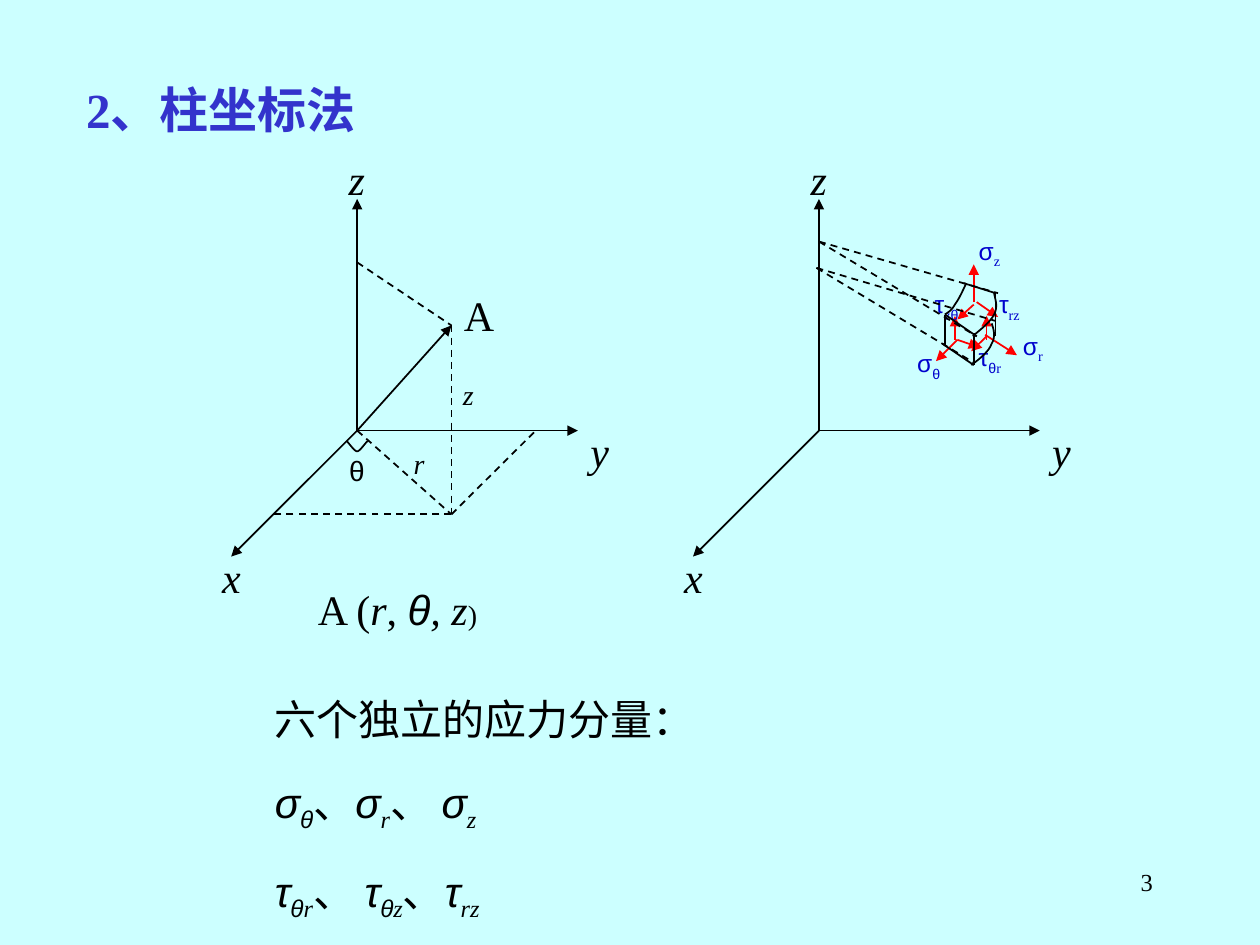
import dataclasses
import typing

import lxml.etree
import pptx
import pptx.dml.color
import pptx.enum.dml
import pptx.enum.shapes
import pptx.enum.text
import pptx.oxml.ns
import pptx.util

Cm = pptx.util.Cm
Pt = pptx.util.Pt
qn = pptx.oxml.ns.qn


@dataclasses.dataclass(frozen=True)
class Theme:
    background: str = "CCFFFF"
    title: str = "3333CC"
    ink: str = "000000"
    stress: str = "0000CC"
    force: str = "FF0000"
    serif: str = "Times New Roman"
    sans: str = "Arial"
    title_size: int = 28
    body_size: int = 24
    mark_size: int = 16
    stress_size: int = 14
    line_width: int = 1


THEME = Theme()


class Box(typing.NamedTuple):
    left: float
    top: float
    width: float
    height: float


class Run(typing.NamedTuple):
    text: str
    font: str = THEME.serif
    italic: bool = False
    sub: bool = False
    size: typing.Optional[int] = None


def greek(text, italic=False, sub=False):
    return Run(text, THEME.sans, italic, sub)


def rgb(value):
    return pptx.dml.color.RGBColor.from_string(value)


def write(paragraph, runs, size, color, before=0, bold=False, hanging=0):
    paragraph.space_before = Pt(before)
    if hanging:
        properties = paragraph._p.get_or_add_pPr()
        properties.set("marL", str(Cm(hanging)))
        properties.set("indent", str(-Cm(hanging)))
    for part in runs:
        run = paragraph.add_run()
        run.text = part.text
        run.font.name = part.font
        run.font.size = Pt(part.size or size)
        run.font.italic = part.italic
        run.font.bold = bold
        run.font.color.rgb = rgb(color)
        if part.sub:
            run._r.get_or_add_rPr().set("baseline", "-25000")


def add_text_frame(shapes, box, grow=True):
    frame = shapes.add_textbox(*map(Cm, box)).text_frame
    frame.word_wrap = True
    if grow:
        frame.auto_size = pptx.enum.text.MSO_AUTO_SIZE.SHAPE_TO_FIT_TEXT
    return frame


def add_title(slide, box):
    title = slide.shapes.title
    title.left, title.top, title.width, title.height = map(Cm, box)
    frame = title.text_frame
    frame.auto_size = pptx.enum.text.MSO_AUTO_SIZE.NONE
    frame.vertical_anchor = pptx.enum.text.MSO_ANCHOR.TOP
    heading = frame.paragraphs[0]
    heading.alignment = pptx.enum.text.PP_ALIGN.LEFT
    write(heading, [Run("2、柱坐标法")], THEME.title_size, THEME.title, 7, True, 0.97)


def add_page_number(slide, box):
    number = add_text_frame(slide.shapes, box, grow=False).paragraphs[0]
    number.alignment = pptx.enum.text.PP_ALIGN.RIGHT
    write(number, [Run("3")], THEME.stress_size, THEME.ink)


def add_components(slide, box):
    sigma, tau = greek("σ", True), greek("τ", True)
    theta = greek("θ", True, True)
    r, z, rz = (Run(name, italic=True, sub=True) for name in ("r", "z", "rz"))
    comma, wide_comma = Run("、"), Run("、 ")
    lines = [
        [Run("六个独立的应力分量：")],
        [sigma, theta, comma, sigma, r, wide_comma, sigma, z],
        [tau, theta, r, wide_comma, tau, theta, z, comma, tau, rz],
    ]
    frame = add_text_frame(slide.shapes, box)
    for index, runs in enumerate(lines):
        paragraph = frame.add_paragraph() if index else frame.paragraphs[0]
        paragraph.line_spacing = 1.1
        write(paragraph, runs, THEME.body_size, THEME.ink, 15, hanging=0.81)


class Diagram:
    def __init__(self, slide, box):
        self.shapes = slide.shapes.add_group_shape().shapes
        self.origin_x = box.left + 2.97
        self.origin_y = box.top + 5.72
        for tip in ((4.45, 0), (-2.54, 2.54), (0, -4.67)):
            self.line((0, 0), tip, arrow=True)
        for name, place in (("x", (-2.97, 2.32)), ("y", (4.45, -0.22)), ("z", (-0.42, -5.72))):
            self.label(place, [Run(name, italic=True)], (0.84, 1.27), THEME.body_size, 15)

    def at(self, point):
        return Cm(self.origin_x + point[0]), Cm(self.origin_y + point[1])

    def line(self, start, end, color=THEME.ink, dashed=False, arrow=False):
        connector = self.shapes.add_connector(
            pptx.enum.shapes.MSO_CONNECTOR.STRAIGHT, *self.at(start), *self.at(end))
        connector.line.color.rgb = rgb(color)
        connector.line.width = Pt(THEME.line_width)
        if dashed:
            connector.line.dash_style = pptx.enum.dml.MSO_LINE.DASH
        if arrow:
            lxml.etree.SubElement(connector.line._ln, qn("a:tailEnd"), type="triangle")
        lxml.etree.SubElement(connector._element.spPr, qn("a:effectLst"))

    def curve(self, points, steps=8):
        vertices = []
        for first in range(0, len(points) - 1, 3):
            for step in range(1, steps + 1):
                t = step / steps
                weights = ((1 - t) ** 3, 3 * t * (1 - t) ** 2, 3 * t * t * (1 - t), t ** 3)
                controls = points[first:first + 4]
                vertices.append(self.at([
                    sum(w * p[axis] for w, p in zip(weights, controls)) for axis in (0, 1)]))
        builder = self.shapes.build_freeform(*self.at(points[0]))
        builder.add_line_segments(vertices, close=False)
        outline = builder.convert_to_shape()
        outline.fill.background()
        outline.line.color.rgb = rgb(THEME.ink)
        outline.line.width = Pt(THEME.line_width)
        outline.shadow.inherit = False

    def label(self, place, runs, extent=(1.07, 0.94), size=THEME.mark_size,
              before=10, color=THEME.ink):
        box = Box(self.origin_x + place[0], self.origin_y + place[1], *extent)
        write(add_text_frame(self.shapes, box).paragraphs[0], runs, size, color, before)


def add_point_diagram(slide, box):
    diagram = Diagram(slide, box)
    origin, point, foot = (0, 0), (1.9, -2.12), (1.9, 1.69)
    for start, end in (((0, -3.39), point), (point, foot), (foot, (-1.69, 1.69)),
                       (foot, (3.6, 0)), (origin, foot)):
        diagram.line(start, end, dashed=True)
    diagram.line(origin, point, arrow=True)
    half_arc = [(-0.21, 0.21), (-0.13, 0.3), (-0.05, 0.42)]
    diagram.curve(half_arc + [(0, 0.42)] + [(-x, y) for x, y in reversed(half_arc)])
    diagram.label((-0.41, 0.33), [greek("θ")])
    diagram.label((0.89, 0.2), [Run("r", italic=True)])
    diagram.label((1.88, -1.19), [Run("z", italic=True)])
    diagram.label((1.9, -2.97), [Run("A")], (1.27, 1.27), THEME.body_size, 15)
    coordinates = [Run("A ("), Run("r", italic=True), Run(", "), greek("θ", True),
                   Run(", z", italic=True), Run(")", size=THEME.mark_size)]
    diagram.label((-1.04, 2.95), coordinates, (4.45, 1.27), THEME.body_size)


def add_stress_diagram(slide, box):
    diagram = Diagram(slide, box)
    forces = [
        ((3.12, -2.59), (3.12, -3.35)), ((3.18, -2.59), (3.61, -2.29)),
        ((3.12, -2.54), (2.79, -2.24)), ((2.79, -1.83), (3.23, -1.68)),
        ((2.74, -1.83), (2.74, -2.31)), ((2.79, -1.83), (2.36, -1.4)),
        ((3.38, -1.83), (3.38, -2.31)), ((3.35, -1.93), (3.99, -1.52)),
        ((3.38, -1.9), (3.07, -1.6)),
    ]
    for start, end in forces:
        diagram.line(start, end, THEME.force, arrow=True)
    theta = greek("θ", sub=True)
    r, z, rz = (Run(name, sub=True) for name in ("r", "z", "rz"))
    stresses = [
        ((2.97, -4.04), "σ", [z], 8.8), ((3.38, -2.97), "τ", [rz], 8.8),
        ((2.08, -2.97), "τ", [z, theta], 8.8), ((1.73, -1.78), "σ", [theta], 8.8),
        ((3.86, -2.13), "σ", [r], 8.8), ((2.97, -1.9), "τ", [theta, r], 0),
    ]
    for place, symbol, subscript, before in stresses:
        diagram.label(place, [greek(symbol)] + subscript, size=THEME.stress_size,
                      before=before, color=THEME.stress)
    upper, lower = (0, -3.81), (-0.05, -3.28)
    for start, end in ((upper, (3.61, -2.77)), (upper, (3.18, -1.9)),
                       (lower, (3.56, -2.21)), (lower, (3.12, -1.37))):
        diagram.line(start, end, dashed=True)
    edges = [
        ((2.92, -2.97), (3.56, -2.77)), ((2.54, -2.34), (3.18, -1.9)),
        ((2.49, -1.75), (3.12, -1.32)), ((2.54, -2.34), (2.54, -1.7)),
        ((3.12, -1.96), (3.12, -1.32)), ((3.56, -2.77), (3.56, -1.9)),
    ]
    for start, end in edges:
        diagram.line(start, end)
    for arc in (
        [(3.53, -2.77), (3.56, -2.62), (3.61, -2.49), (3.53, -2.34),
         (3.45, -2.18), (3.28, -2.06), (3.1, -1.9)],
        [(2.97, -2.97), (2.9, -2.82), (2.82, -2.64), (2.74, -2.54),
         (2.69, -2.44), (2.62, -2.39), (2.54, -2.34)],
        [(3.48, -2.16), (3.53, -2.03), (3.56, -1.88), (3.48, -1.75),
         (3.43, -1.6), (3.25, -1.45), (3.07, -1.32)],
    ):
        diagram.curve(arc)


def main():
    deck = pptx.Presentation()
    deck.slide_width, deck.slide_height = Cm(25.4), Cm(19.05)
    slide = deck.slides.add_slide(deck.slide_layouts[5])
    slide.background.fill.solid()
    slide.background.fill.fore_color.rgb = rgb(THEME.background)
    add_title(slide, Box(1.48, 1.48, 16.72, 1.91))
    add_page_number(slide, Box(18.2, 17.36, 5.29, 1.27))
    add_components(slide, Box(5.29, 13.76, 14.82, 4.98))
    add_stress_diagram(slide, Box(13.54, 2.96, 8.26, 9.31))
    add_point_diagram(slide, Box(4.23, 2.96, 8.26, 9.31))
    deck.save("out.pptx")


if __name__ == "__main__":
    main()
